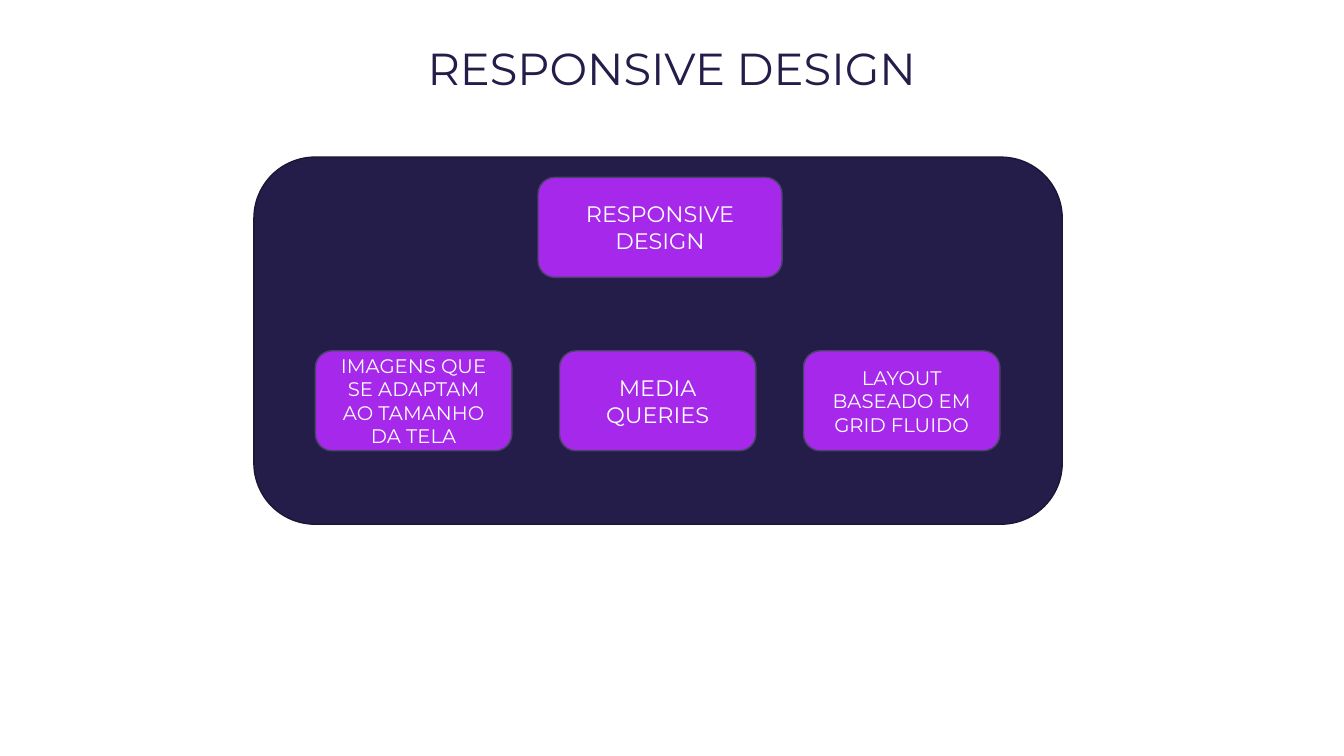
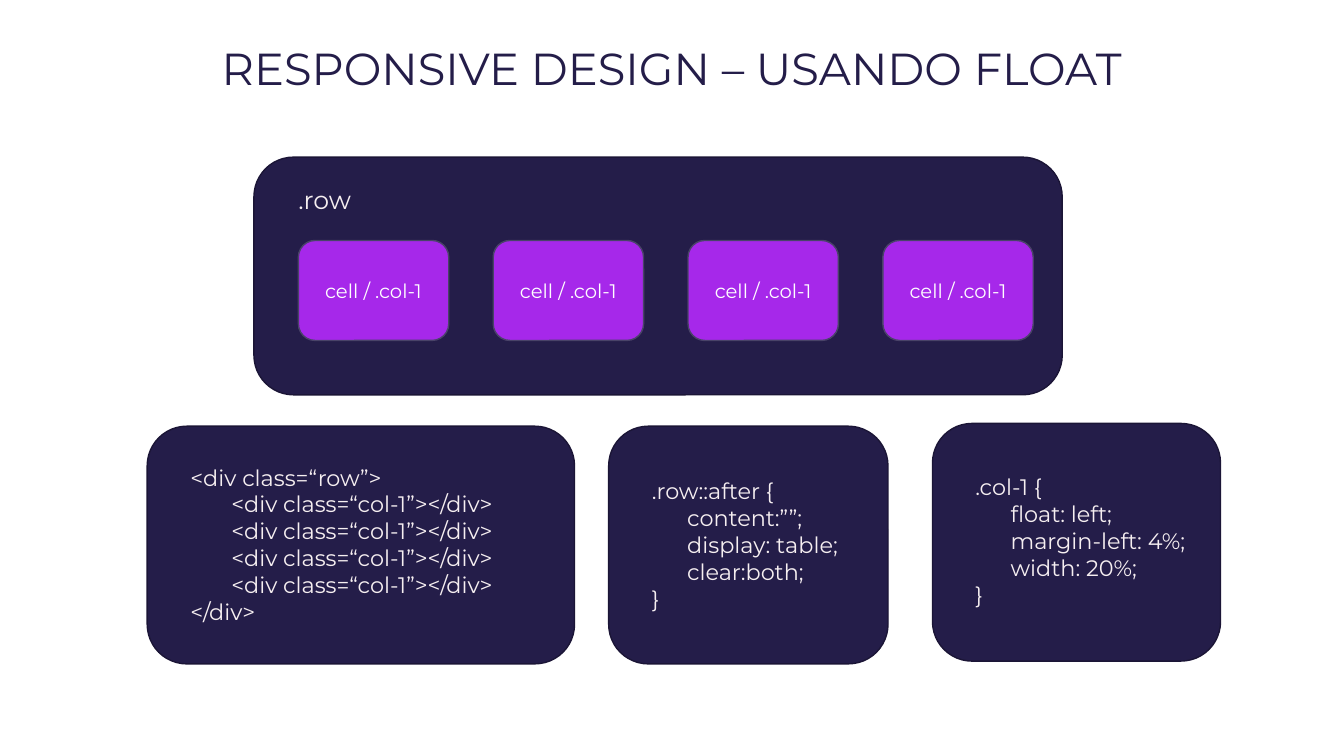
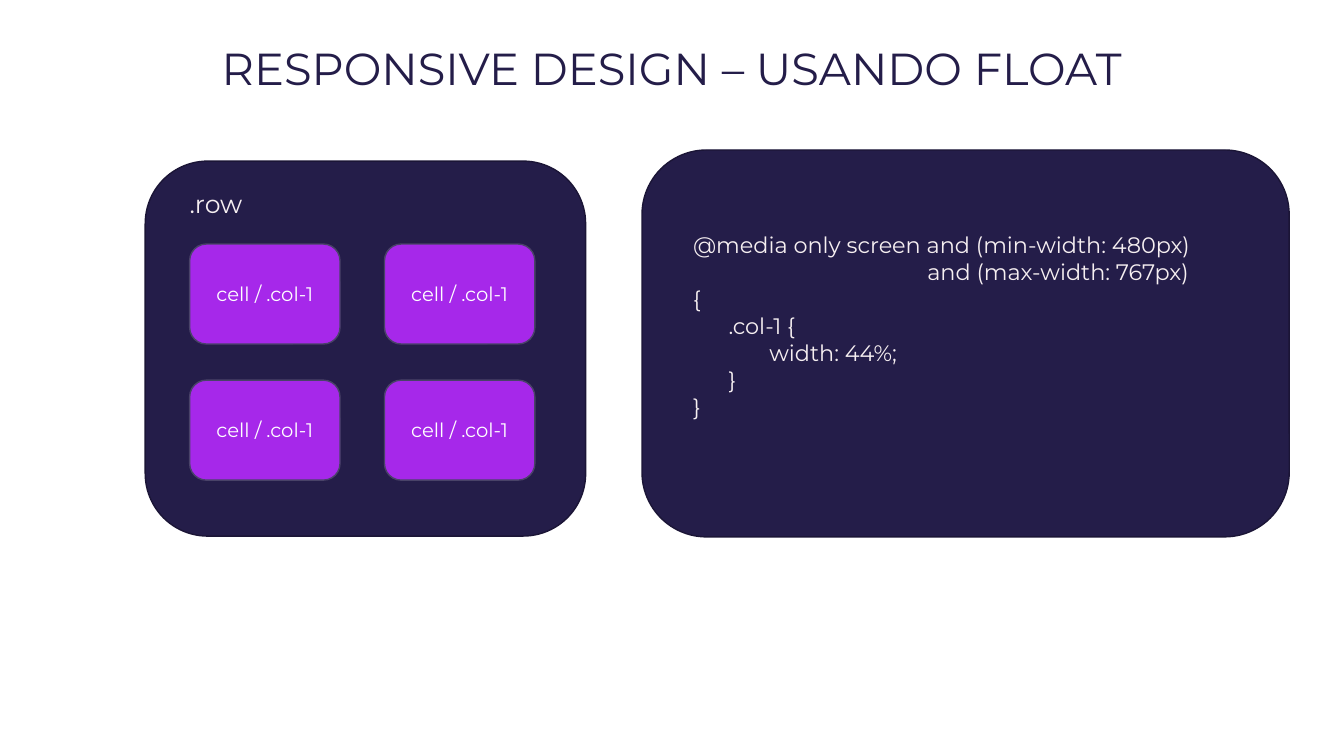
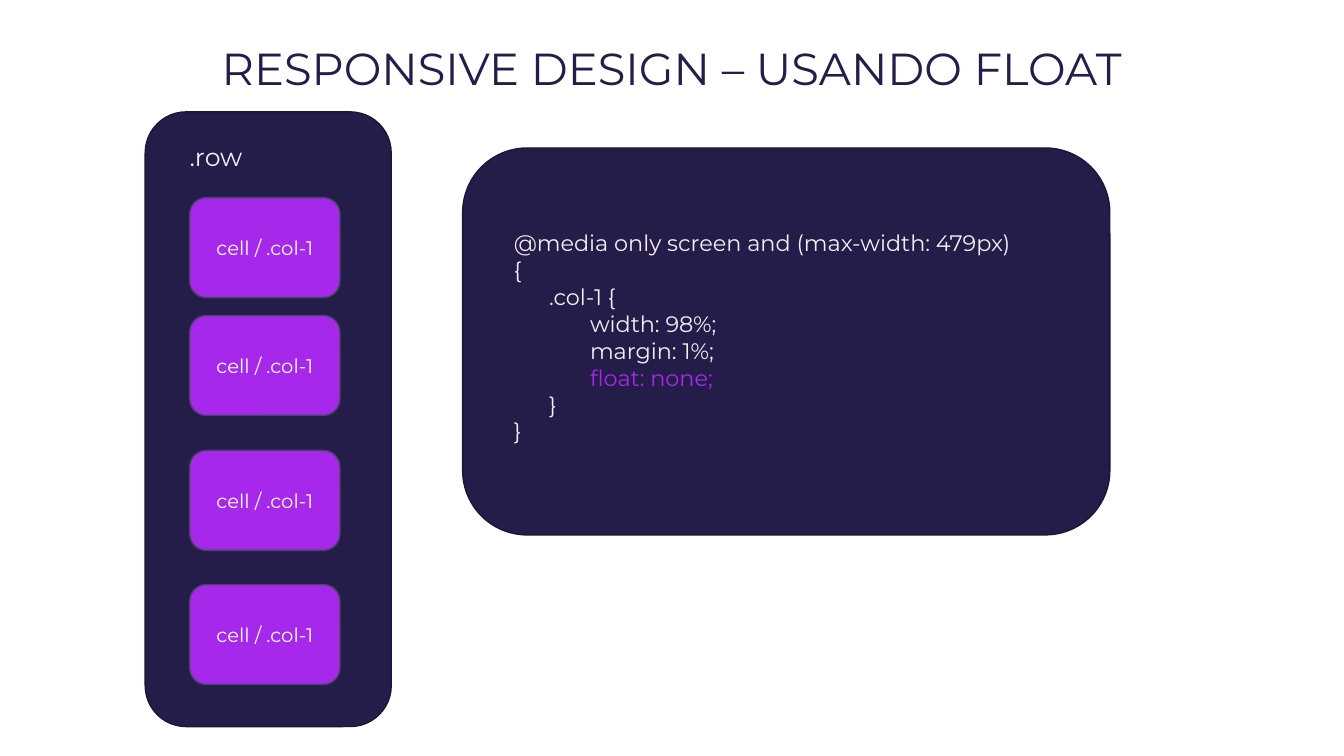
"""Builds four slides on responsive design with floats."""
from pptx import Presentation
from pptx.dml.color import RGBColor
from pptx.enum import shapes, text
from pptx.util import Cm, Pt

FONT = "Montserrat"
NAVY, NAVY_EDGE = "241D49", "1B1536"
PURPLE, PURPLE_EDGE = "A628EA", "494368"
WHITE, PALE = "FFFFFF", "F6EFF1"
SLIDE_W, SLIDE_H = 33.87, 19.05
CELL_W, CELL_H, CELL_STEP = 3.79, 2.52, 4.91
LINE_H = 0.68
FLOAT_TITLE, FLOAT_TITLE_W = "RESPONSIVE DESIGN – USANDO FLOAT", 23.85

TOPIC_TOP, TOPIC_LEFT, TOPIC_W, TOPIC_STEP = 8.84, 7.95, 4.95, 6.15
TOPICS = [
    ("IMAGENS QUE SE ADAPTAM AO TAMANHO DA TELA", 14),
    ("MEDIA QUERIES", 16),
    ("LAYOUT BASEADO EM GRID FLUIDO", 14),
]

# Code lines are (indent in cm, text, colour).
DIV = (1.03, "<div class=“col-1”></div>", PALE)
ROW_HTML = [(0, "<div class=“row”>", PALE), *[DIV] * 4, (0, "</div>", PALE)]
ROW_AFTER_CSS = [
    (0, ".row::after {", PALE),
    (0.89, "content:””;", PALE),
    (0.89, "display: table;", PALE),
    (0.89, "clear:both;", PALE),
    (0, "}", PALE),
]
COLUMN_CSS = [
    (0, ".col-1 {", PALE),
    (0.89, "float: left;", PALE),
    (0.89, "margin-left: 4%;", PALE),
    (0.89, "width: 20%;", PALE),
    (0, "}", PALE),
]
TABLET_CSS = [
    (0, "@media only screen and (min-width: 480px)", PALE),
    (5.9, "and (max-width: 767px)", PALE),
    (0, "{", PALE),
    (0.89, ".col-1 {", PALE),
    (1.92, "width: 44%;", PALE),
    (0.89, "}", PALE),
    (0, "}", PALE),
]
PHONE_CSS = [
    (0, "@media only screen and (max-width: 479px)", PALE),
    (0, "{", PALE),
    (0.89, ".col-1 {", PALE),
    (1.92, "width: 98%;", PALE),
    (1.92, "margin: 1%;", PALE),
    (1.92, "float: none;", PURPLE),
    (0.89, "}", PALE),
    (0, "}", PALE),
]

FLOAT_SLIDES = [
    {
        "row": (6.4, 3.96, 20.37, 5.99),
        "cells": [(7.52 + i * CELL_STEP, 6.06) for i in range(4)],
        "code": [
            ((3.71, 10.74, 10.77, 5.99), (4.55, 11.56, 9.09), ROW_HTML),
            ((15.34, 10.74, 7.04, 5.99), (16.18, 11.91, 5.79), ROW_AFTER_CSS),
            ((23.5, 10.67, 7.26, 5.99), (24.33, 11.81, 6.2), COLUMN_CSS),
        ],
    },
    {
        "row": (3.66, 4.06, 11.1, 9.45),
        "cells": [(4.78 + i * CELL_STEP, y) for y in (6.15, 9.58) for i in range(2)],
        "code": [((16.18, 3.78, 16.31, 9.75), (17.22, 5.71, 14.45), TABLET_CSS)],
    },
    {
        "row": (3.66, 2.82, 6.2, 15.49),
        "cells": [(4.78, y) for y in (4.98, 7.95, 11.35, 14.73)],
        "code": [((11.66, 3.73, 16.31, 9.75), (12.7, 5.66, 14.45), PHONE_CSS)],
    },
]


def rgb(value):
    return RGBColor.from_string(value)


def write(p, content, size, color):
    p.text = content
    for r in p.runs:
        r.font.name = FONT
        r.font.size = Pt(size)
        r.font.color.rgb = rgb(color)


def add_box(s, box, fill, edge):
    sp = s.shapes.add_shape(shapes.MSO_SHAPE.ROUNDED_RECTANGLE, *map(Cm, box))
    sp.shadow.inherit = False
    sp.fill.solid()
    sp.fill.fore_color.rgb = rgb(fill)
    sp.line.color.rgb = rgb(edge)
    sp.line.width = Pt(1)
    return sp


def add_panel(s, box):
    add_box(s, box, NAVY, NAVY_EDGE)


def add_tile(s, box, label, size):
    tf = add_box(s, box, PURPLE, PURPLE_EDGE).text_frame
    tf.word_wrap = True
    tf.vertical_anchor = text.MSO_ANCHOR.MIDDLE
    write(tf.paragraphs[0], label, size, WHITE)
    tf.paragraphs[0].alignment = text.PP_ALIGN.CENTER


def add_text(s, box, lines, size, wrap=True):
    tf = s.shapes.add_textbox(*map(Cm, box)).text_frame
    tf.word_wrap = wrap
    for i, (indent, content, color) in enumerate(lines):
        p = tf.add_paragraph() if i else tf.paragraphs[0]
        write(p, content, size, color)
        if indent:
            p._p.get_or_add_pPr().set("marL", str(Cm(indent)))
    return tf


def add_slide(prs, title, width):
    s = prs.slides.add_slide(prs.slide_layouts[6])
    box = ((SLIDE_W - width) / 2, 0.89, width, 1.63)
    tf = add_text(s, box, [(0, title, NAVY)], 32, wrap=False)
    tf.paragraphs[0].alignment = text.PP_ALIGN.CENTER
    return s


def build_overview(prs):
    s = add_slide(prs, "RESPONSIVE DESIGN", 13.13)
    add_panel(s, (6.4, 3.96, 20.37, 9.25))
    add_tile(s, (13.56, 4.47, 6.15, CELL_H), "RESPONSIVE DESIGN", 16)
    for i, (label, size) in enumerate(TOPICS):
        left = TOPIC_LEFT + i * TOPIC_STEP
        add_tile(s, (left, TOPIC_TOP, TOPIC_W, CELL_H), label, size)


def build_float(prs, content):
    s = add_slide(prs, FLOAT_TITLE, FLOAT_TITLE_W)
    add_panel(s, content["row"])
    left, top = content["cells"][0]
    add_text(s, (left - 0.25, top - 1.54, 3.15, 1.02), [(0, ".row", PALE)], 18)
    for x, y in content["cells"]:
        add_tile(s, (x, y, CELL_W, CELL_H), "cell / .col-1", 14)
    for panel, place, lines in content["code"]:
        add_panel(s, panel)
        add_text(s, (*place, len(lines) * LINE_H + 0.25), lines, 16)


def main():
    prs = Presentation()
    prs.slide_width, prs.slide_height = Cm(SLIDE_W), Cm(SLIDE_H)
    build_overview(prs)
    for content in FLOAT_SLIDES:
        build_float(prs, content)
    prs.save("out.pptx")


if __name__ == "__main__":
    main()
